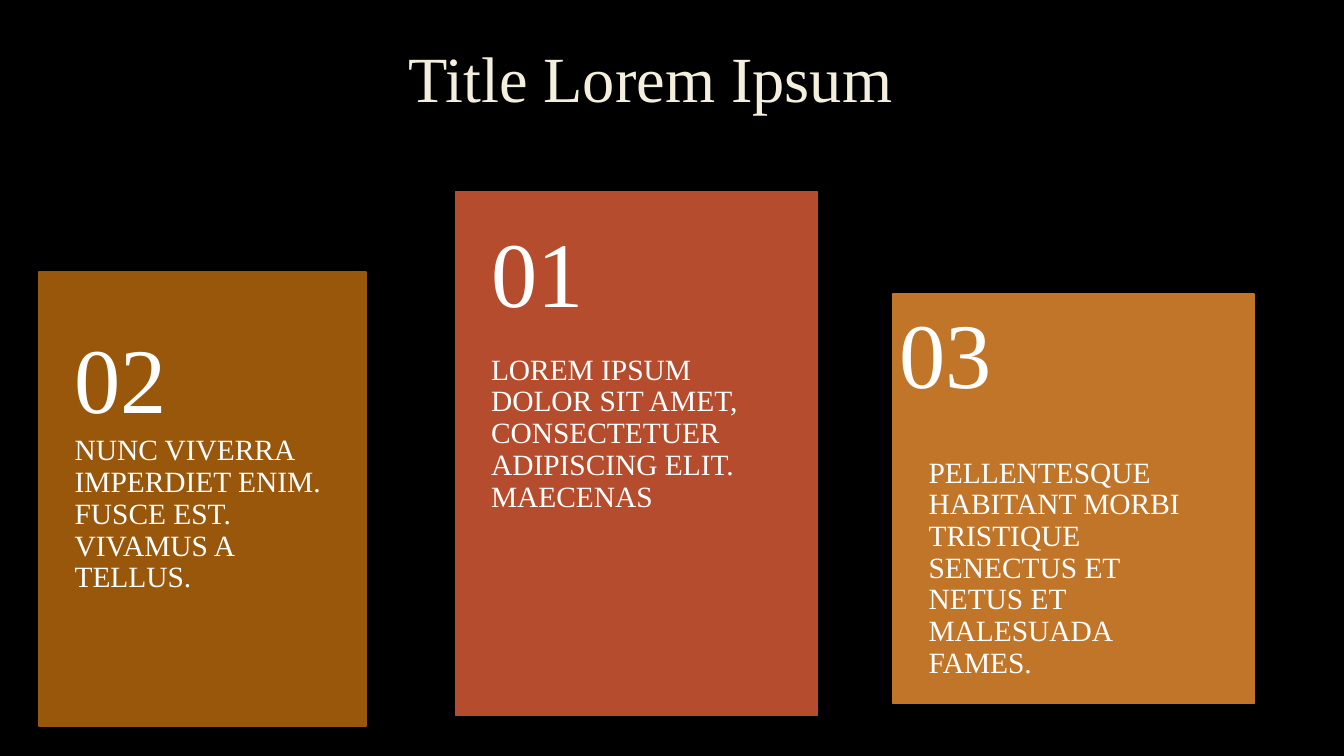
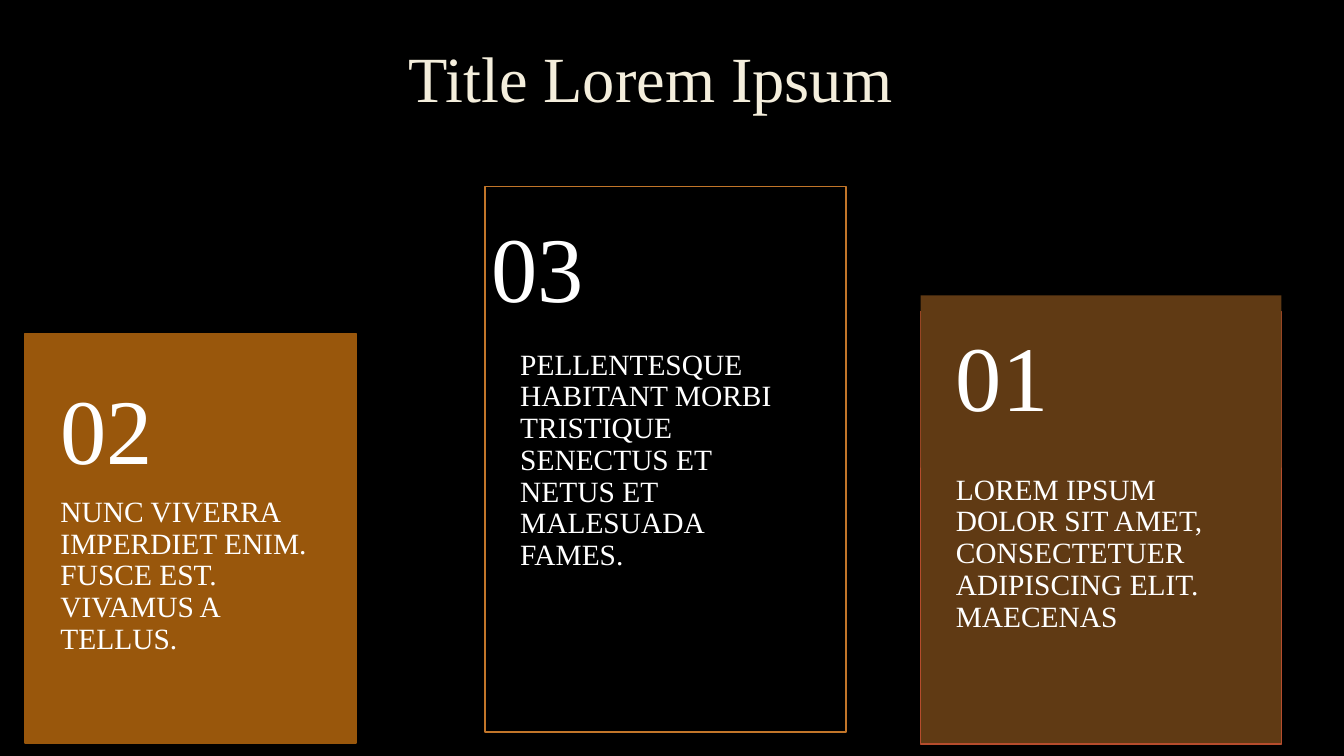
import pptx
import pptx.dml.color
import pptx.enum.shapes
import pptx.enum.text
import pptx.util

Inches = pptx.util.Inches
Pt = pptx.util.Pt
RGBColor = pptx.dml.color.RGBColor
Align = pptx.enum.text.PP_ALIGN
Anchor = pptx.enum.text.MSO_ANCHOR

BLACK = RGBColor(0x00, 0x00, 0x00)
WHITE = RGBColor(0xFF, 0xFF, 0xFF)
CREAM = RGBColor(0xF4, 0xEE, 0xDC)
RUST = RGBColor(0xB5, 0x4C, 0x2D)
AMBER = RGBColor(0xC1, 0x75, 0x29)
OCHRE = RGBColor(0x99, 0x57, 0x0C)
BROWN = RGBColor(0x60, 0x3A, 0x14)

FONT = "Times New Roman"
TITLE = "Title Lorem Ipsum"
TITLE_INSETS = (0.1, 0.05, 0.1, 0.05)
BODY_INSETS = (0.35, 1.62, 0.35, 0.36)
NUMBER_INSETS = (0.35, 0.18, 0.35, 0.18)

BODIES = {
    "01": "LOREM IPSUM DOLOR SIT AMET, CONSECTETUER ADIPISCING ELIT. MAECENAS",
    "02": "NUNC VIVERRA IMPERDIET ENIM. FUSCE EST. VIVAMUS A TELLUS.",
    "03": "PELLENTESQUE HABITANT MORBI TRISTIQUE SENECTUS ET NETUS ET "
          "MALESUADA FAMES.",
}

# Each card: number, panel box, number box, panel fill, border, number fill
SLIDES = [
    [
        ("01", (4.52, 1.9, 3.58, 5.2), (4.52, 1.71, 3.58, 2.08), RUST, RUST, None),
        ("03", (8.86, 2.92, 3.58, 4.06), (8.57, 2.75, 3.58, 1.62), AMBER, AMBER, None),
        ("02", (0.39, 2.7, 3.24, 4.5), (0.39, 3.13, 3.24, 1.36), OCHRE, OCHRE, None),
    ],
    [
        ("01", (9.13, 3.09, 3.58, 4.29), (9.13, 2.93, 3.58, 1.71), BROWN, RUST, BROWN),
        ("03", (4.81, 1.85, 3.58, 5.41), (4.52, 1.62, 3.58, 2.16), BLACK, AMBER, None),
        ("02", (0.25, 3.31, 3.28, 4.06), (0.25, 3.7, 3.28, 1.22), OCHRE, OCHRE, None),
    ],
]


def write(shape, text, size, insets, color=WHITE, align=Align.LEFT,
          anchor=Anchor.MIDDLE):
    frame = shape.text_frame
    frame.word_wrap = True
    frame.vertical_anchor = anchor
    (frame.margin_left, frame.margin_top,
     frame.margin_right, frame.margin_bottom) = map(Inches, insets)
    paragraph = frame.paragraphs[0]
    paragraph.alignment = align
    paragraph.line_spacing = 0.9
    run = paragraph.add_run()
    run.text = text
    run.font.name = FONT
    run.font.size = Pt(size)
    run.font.color.rgb = color


def add_panel(slide, box, fill=None, border=None):
    panel = slide.shapes.add_shape(
        pptx.enum.shapes.MSO_SHAPE.RECTANGLE, *map(Inches, box))
    panel.shadow.inherit = False
    if fill is None:
        panel.fill.background()
    else:
        panel.fill.solid()
        panel.fill.fore_color.rgb = fill
    if border is None:
        panel.line.fill.background()
    else:
        panel.line.color.rgb = border
        panel.line.width = Pt(1.25)
    return panel


def add_title(slide):
    title = slide.shapes.add_textbox(*map(Inches, (0.79, 0.12, 11.32, 1.38)))
    write(title, TITLE, 46, TITLE_INSETS, color=CREAM, align=Align.CENTER)


def add_card(slide, number, panel_box, number_box, fill, border, number_fill):
    panel = add_panel(slide, panel_box, fill, border)
    write(panel, BODIES[number], 21, BODY_INSETS, anchor=Anchor.TOP)
    write(add_panel(slide, number_box, number_fill), number, 66, NUMBER_INSETS)


def main():
    deck = pptx.Presentation()
    deck.slide_width = Inches(13.33)
    deck.slide_height = Inches(7.5)
    backdrop = deck.slide_master.background.fill
    backdrop.solid()
    backdrop.fore_color.rgb = BLACK
    for cards in SLIDES:
        slide = deck.slides.add_slide(deck.slide_layouts[6])
        add_title(slide)
        for card in cards:
            add_card(slide, *card)
    deck.save("out.pptx")


if __name__ == "__main__":
    main()
